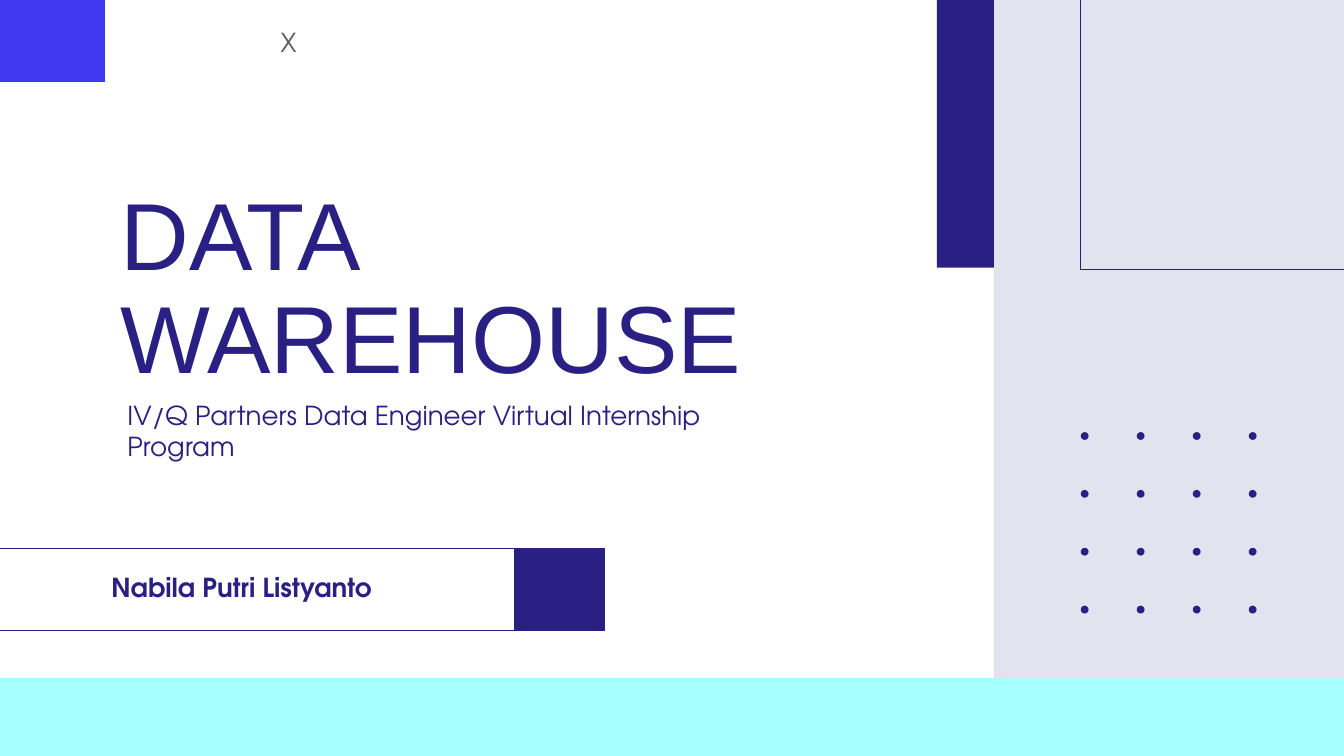
import pptx
import pptx.util
import pptx.dml.color
import pptx.enum.shapes
import pptx.enum.text

Pt = pptx.util.Pt
RGB = pptx.dml.color.RGBColor
KIND = pptx.enum.shapes.MSO_SHAPE
ANCHOR = pptx.enum.text.MSO_ANCHOR
ALIGN = pptx.enum.text.PP_ALIGN

NAVY = RGB(0x2A, 0x1F, 0x82)
BLUE = RGB(0x3F, 0x3A, 0xF2)
AQUA = RGB(0xA4, 0xFF, 0xFD)
LILAC = RGB(0xE3, 0xE2, 0xEF)
GREY = RGB(0x60, 0x60, 0x60)
FACE = "TeX Gyre Adventor"


def add_form(slide, box, fill=None, line=None, kind=KIND.RECTANGLE):
    """Add a plain shape, filled or outlined or both."""
    form = slide.shapes.add_shape(kind, *map(Pt, box))
    form.shadow.inherit = False
    if fill is None:
        form.fill.background()
    else:
        form.fill.solid()
        form.fill.fore_color.rgb = fill
    if line is None:
        form.line.fill.background()
    else:
        form.line.color.rgb = line
        form.line.width = Pt(0.75)


def set_text(shape, text, size, color, face=FACE, bold=False, anchor=ANCHOR.TOP):
    """Fill a box with left-aligned text in one style."""
    frame = shape.text_frame
    frame.text = text
    frame.word_wrap = True
    frame.auto_size = pptx.enum.text.MSO_AUTO_SIZE.NONE
    frame.vertical_anchor = anchor
    frame.margin_left = frame.margin_right = Pt(7.2)
    frame.margin_top = frame.margin_bottom = Pt(7.2)
    para = frame.paragraphs[0]
    para.alignment = ALIGN.LEFT
    for run in para.runs:
        run.font.name = face
        run.font.size = Pt(size)
        run.font.bold = bold
        run.font.color.rgb = color


def add_label(slide, box, text, color=NAVY, bold=False):
    label = slide.shapes.add_textbox(*map(Pt, box))
    set_text(label, text, 14, color, bold=bold)


def add_title(slide, box, text):
    title = slide.shapes.title
    title.left, title.top, title.width, title.height = map(Pt, box)
    set_text(title, text, 51, NAVY, face="Arial", anchor=ANCHOR.MIDDLE)
    title.text_frame.paragraphs[0].line_spacing = 0.9


def add_dots(slide, left, top, count=4, size=4.2):
    """Add a square grid of dots."""
    for col in range(count):
        for row in range(count):
            box = (left + 30 * col, top + 31 * row, size, size)
            add_form(slide, box, fill=NAVY, kind=KIND.OVAL)


def main():
    deck = pptx.Presentation()
    deck.slide_width, deck.slide_height = Pt(720), Pt(405)
    slide = deck.slides.add_slide(deck.slide_layouts[5])

    # Corner block and bottom band
    add_form(slide, (0, 0, 56.3, 43.9), fill=BLUE)
    add_form(slide, (0, 363.3, 720, 41.7), fill=AQUA)

    # Title and subtitle
    add_title(slide, (57.6, 91.5, 375.8, 128.9), "DATA\vWAREHOUSE")
    add_label(slide, (61.2, 206.6, 375.8, 33.8),
              "IV/Q Partners Data Engineer Virtual Internship Program")

    # Name bar
    add_form(slide, (-17.5, 293.8, 297.5, 43.9), line=NAVY)
    add_form(slide, (275.8, 293.8, 48, 43.9), fill=NAVY, line=NAVY)
    add_label(slide, (52.6, 298.8, 194.4, 33.8), "Nabila Putri Listyanto", bold=True)

    # Right panel with frame, dots and side bar
    add_form(slide, (532.5, 0, 241.2, 363.3), fill=LILAC)
    add_form(slide, (579, -2.5, 198.7, 146.9), line=NAVY)
    add_dots(slide, 579, 231.5)
    add_form(slide, (502, 0, 30.5, 143.5), fill=NAVY)

    # Mark between the partners
    add_label(slide, (143.3, 7.2, 19.4, 31.7), "X", color=GREY)

    deck.save("out.pptx")


if __name__ == "__main__":
    main()
